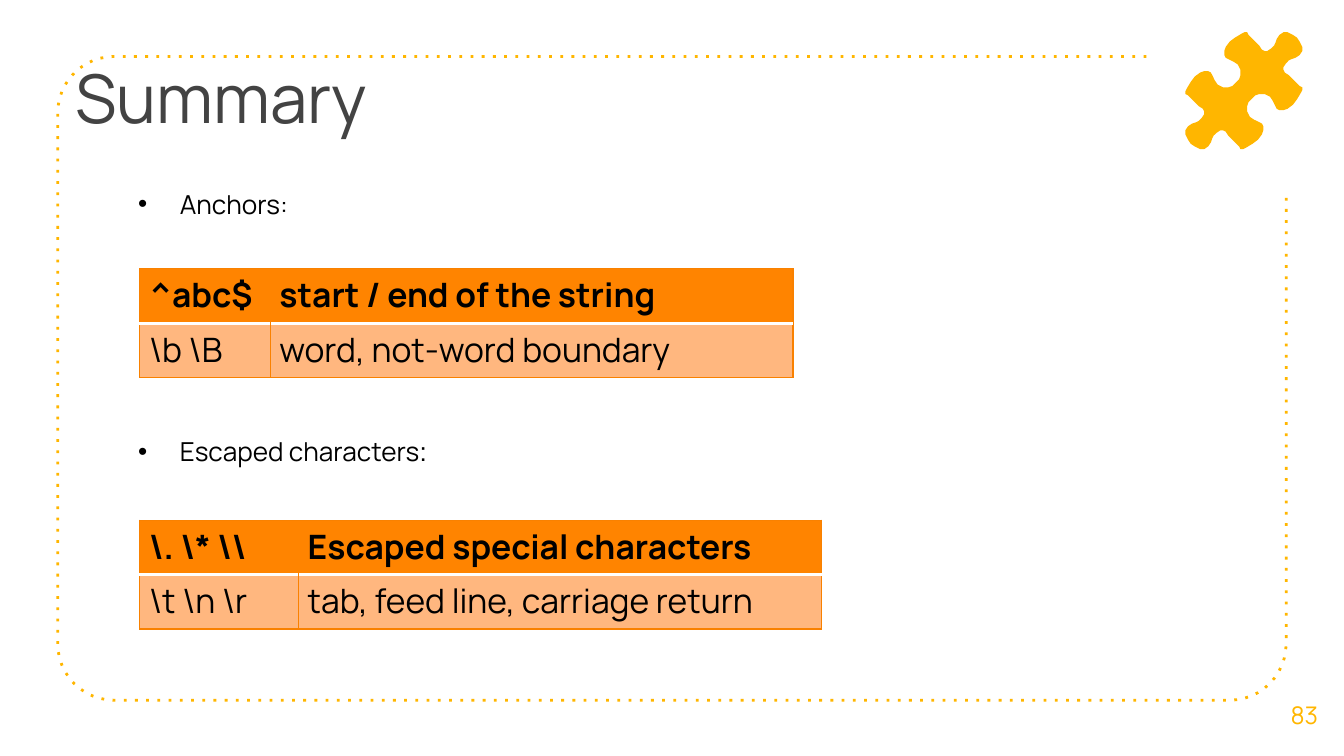
import math
import pptx
import pptx.util
import pptx.dml.color
import pptx.enum.text
import pptx.oxml
import pptx.oxml.ns
import lxml.etree

FONT = "Manrope"
YELLOW, ORANGE, PEACH, BORDER = "FFB600", "FF8400", "FFB77F", "F98100"
BLACK, WHITE, GREY = "000000", "FFFFFF", "434343"
SECTIONS = [
    {"top": 1.35, "height": 0.57, "label": [("Anchors:", FONT)],
     "table_top": 2.0, "columns": (0.97, 3.89),
     "rows": [("^abc$", "start / end of the string"),
              ("\\b \\B", "word, not-word boundary")]},
    {"top": 3.19, "height": 0.81, "label": [("Escaped characters", FONT), (":", "Arial")],
     "table_top": 3.87, "columns": (1.18, 3.89),
     "rows": [("\\. \\* \\\\", "Escaped special characters"),
              ("\\t \\n \\r", "tab, feed line, carriage return")]},
]
TABLE_LEFT, TABLE_HEIGHT = 1.04, 0.81
LEFT, TOP, RIGHT, BOTTOM, RADIUS = 0.43, 0.42, 9.57, 5.21, 0.42
PUZZLE_BOX = (8.82, 0.24, 0.87, 0.87)
PUZZLE_QUARTER = [
    (9.2, 0.61), (9.22, 0.59), (9.23, 0.56), (9.23, 0.52), (9.21, 0.48), (9.18, 0.46),
    (9.14, 0.44), (9.12, 0.43), (9.11, 0.41), (9.11, 0.38), (9.12, 0.35), (9.15, 0.31),
    (9.19, 0.28), (9.24, 0.25), (9.26, 0.24), (9.28, 0.24), (9.29, 0.26), (9.32, 0.29),
    (9.37, 0.34), (9.39, 0.37), (9.41, 0.38), (9.43, 0.38), (9.46, 0.36), (9.48, 0.34),
    (9.49, 0.32), (9.5, 0.29), (9.52, 0.26), (9.55, 0.24), (9.58, 0.24), (9.62, 0.26),
    (9.65, 0.28)]

Inches, Pt = pptx.util.Inches, pptx.util.Pt


def color(value):
    return pptx.dml.color.RGBColor.from_string(value)


def add_xml(parent, tag, **attributes):
    return lxml.etree.SubElement(parent, pptx.oxml.ns.qn(tag), attributes)


def add_run(paragraph, text, size, value, font=FONT, bold=False):
    run = paragraph.add_run()
    run.text = text
    run.font.name, run.font.size, run.font.bold = font, Pt(size), bold
    run.font.color.rgb = color(value)


def set_frame(shape, box, inset, anchor=pptx.enum.text.MSO_ANCHOR.TOP):
    shape.left, shape.top, shape.width, shape.height = map(Inches, box)
    frame = shape.text_frame
    frame.word_wrap, frame.vertical_anchor = True, anchor
    frame.auto_size = pptx.enum.text.MSO_AUTO_SIZE.NONE
    frame.margin_left = frame.margin_right = Inches(0.1)
    frame.margin_top = frame.margin_bottom = Inches(inset)
    return frame.paragraphs[0]


def add_outline(points, close):
    points = [(Inches(x), Inches(y)) for x, y in points]
    builder = slide.shapes.build_freeform(*points[0])
    builder.add_line_segments(points[1:], close=close)
    shape = builder.convert_to_shape()
    shape.shadow.inherit = False
    return shape


def corner(center_x, center_y, start):
    angles = [math.radians(start - 90 * step / 12) for step in range(13)]
    return [(center_x + RADIUS * math.cos(a), center_y + RADIUS * math.sin(a)) for a in angles]


def add_border(cell, side, value, width=0.75):
    line = add_xml(cell._tc.get_or_add_tcPr(), "a:" + side, w=str(Pt(width)))
    if value:
        add_xml(add_xml(line, "a:solidFill"), "a:srgbClr", val=value)
    else:
        add_xml(line, "a:noFill")


def add_table(section):
    columns, rows = section["columns"], section["rows"]
    table = slide.shapes.add_table(len(rows), len(columns), Inches(TABLE_LEFT),
                                   Inches(section["table_top"]), Inches(sum(columns)),
                                   Inches(TABLE_HEIGHT)).table
    table.first_row = table.horz_banding = False
    for column, width in zip(table.columns, columns):
        column.width = Inches(width)
    for row_index, texts in enumerate(rows):
        header = row_index == 0
        table.rows[row_index].height = Inches(TABLE_HEIGHT / len(rows))
        inner = None if header else BORDER
        for column_index, text in enumerate(texts):
            cell = table.cell(row_index, column_index)
            cell.margin_left = cell.margin_right = Inches(0.07)
            cell.margin_top = cell.margin_bottom = 0
            paragraph = cell.text_frame.paragraphs[0]
            paragraph.line_spacing, paragraph.space_after = 1.07, Pt(8)
            add_run(paragraph, text, 18, BLACK, bold=header)
            add_border(cell, "lnL", inner if column_index else BORDER)
            add_border(cell, "lnR", BORDER if column_index else inner)
            if header:
                add_border(cell, "lnT", BORDER)
                add_border(cell, "lnB", WHITE, 2)
            else:
                add_border(cell, "lnT", WHITE, 2)
                add_border(cell, "lnB", BORDER)
            cell.fill.solid()
            cell.fill.fore_color.rgb = color(ORANGE if header else PEACH)


presentation = pptx.Presentation()
presentation.slide_width = Inches(10)
presentation.slide_height = presentation.slide_width * 9 // 16
slide = presentation.slides.add_slide(presentation.slide_layouts[5])

frame_points = [(8.53, TOP)]
frame_points += corner(LEFT + RADIUS, TOP + RADIUS, 270)
frame_points += corner(LEFT + RADIUS, BOTTOM - RADIUS, 180)
frame_points += corner(RIGHT - RADIUS, BOTTOM - RADIUS, 90)
frame_points.append((RIGHT, 1.46))
border = add_outline(frame_points, False)
border.fill.background()
border.line.color.rgb, border.line.width = color(YELLOW), Pt(1.5)
add_xml(border.line._get_or_add_ln(), "a:prstDash", val="dot")

title = set_frame(slide.shapes.title, (0.46, 0.32, 7.51, 0.94), 0.1)
title.alignment = pptx.enum.text.PP_ALIGN.LEFT
add_run(title, "Summary", 36, GREY)

number = set_frame(slide.shapes.add_textbox(0, 0, 0, 0), (9.41, 5.02, 0.59, 0.6), 0.1,
                   pptx.enum.text.MSO_ANCHOR.MIDDLE)
number.alignment = pptx.enum.text.PP_ALIGN.CENTER
add_run(number, "83", 13, YELLOW)

left, top, width, height = PUZZLE_BOX
center_x, center_y = left + width / 2, top + height / 2
quarter = [(x - center_x, y - center_y) for x, y in PUZZLE_QUARTER]
half = quarter + [(-y, -x) for x, y in reversed(quarter)]
whole = half + [(-x, -y) for x, y in half]
puzzle = add_outline([(center_x + x, center_y + y) for x, y in whole], True)
puzzle.fill.solid()
puzzle.fill.fore_color.rgb = color(YELLOW)
puzzle.line.fill.background()

for section in SECTIONS:
    box = (0.93, section["top"], 8.88, section["height"])
    paragraph = set_frame(slide.shapes.add_textbox(0, 0, 0, 0), box, 0.05)
    properties = paragraph._p.get_or_add_pPr()
    properties.set("marL", str(Inches(0.31)))
    properties.set("indent", str(-Inches(0.31)))
    add_xml(add_xml(properties, "a:buClr"), "a:srgbClr", val=BLACK)
    add_xml(properties, "a:buFont", typeface="Arial")
    add_xml(properties, "a:buChar", char="•")
    for text, font in section["label"]:
        add_run(paragraph, text, 14, BLACK, font)
    add_table(section)

presentation.save("out.pptx")
